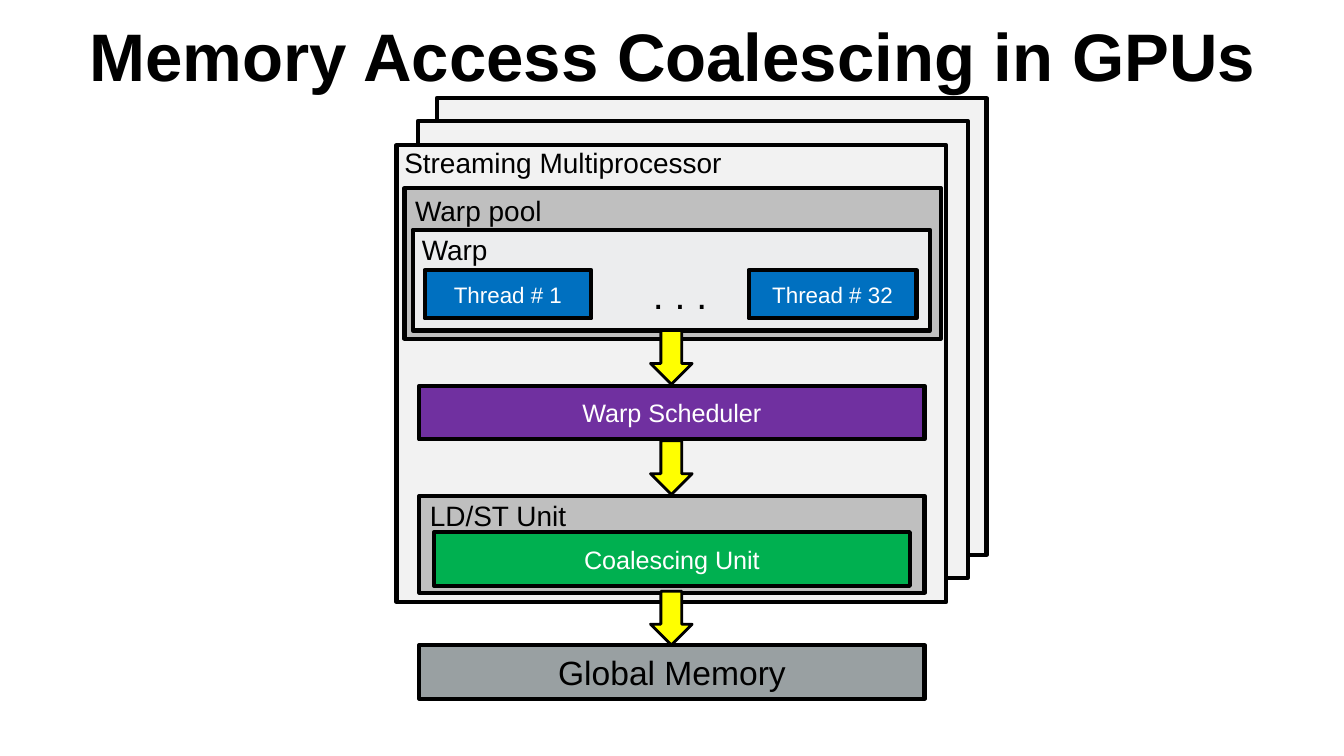
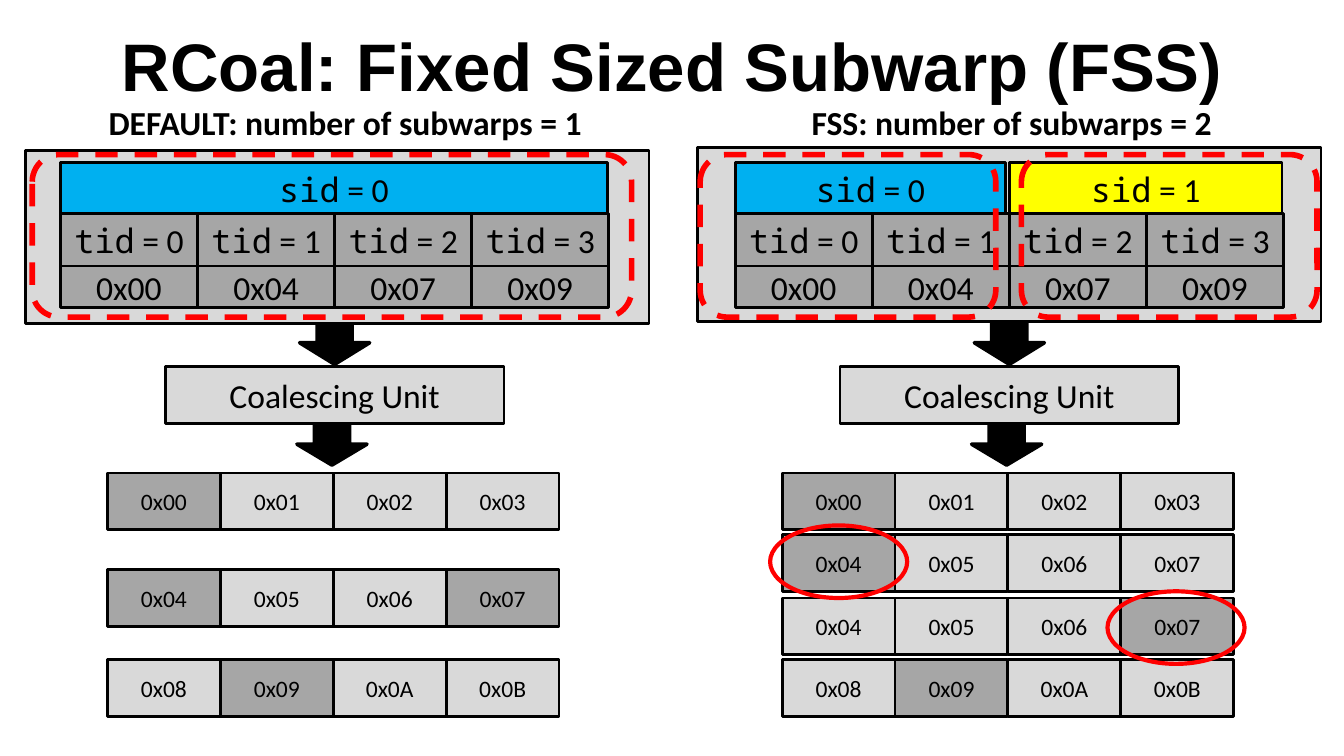
from pptx import Presentation
from pptx.dml.color import RGBColor
from pptx.enum.dml import MSO_LINE
from pptx.enum.shapes import MSO_SHAPE as Shape
from pptx.enum.text import MSO_ANCHOR as Anchor, MSO_AUTO_SIZE as AutoSize, PP_ALIGN as Align
from pptx.util import Inches, Pt

BLACK = RGBColor(0x00, 0x00, 0x00)
WHITE = RGBColor(0xFF, 0xFF, 0xFF)
PALE = RGBColor(0xF2, 0xF2, 0xF2)
WARP_GRAY = RGBColor(0xEC, 0xED, 0xEE)
LIGHT_GRAY = RGBColor(0xD9, 0xD9, 0xD9)
POOL_GRAY = RGBColor(0xBF, 0xBF, 0xBF)
DARK_GRAY = RGBColor(0xA6, 0xA6, 0xA6)
MEMORY_GRAY = RGBColor(0x99, 0xA0, 0xA2)
BLUE = RGBColor(0x00, 0x70, 0xC0)
SKY = RGBColor(0x00, 0xB0, 0xF0)
PURPLE = RGBColor(0x70, 0x30, 0xA0)
GREEN = RGBColor(0x00, 0xB0, 0x50)
YELLOW = RGBColor(0xFF, 0xFF, 0x00)
RED = RGBColor(0xFF, 0x00, 0x00)
SANS = "Arial"
BODY = "Calibri"
MONO = "Noto Sans Mono"


def write(shape, text, mono="", font=BODY, size=18, color=BLACK, bold=False, label=False):
    frame = shape.text_frame
    frame.word_wrap = not label
    frame.auto_size = AutoSize.SHAPE_TO_FIT_TEXT if label else AutoSize.NONE
    if not label:
        frame.vertical_anchor = Anchor.MIDDLE
        frame.margin_left = frame.margin_right = Inches(0.03)
        frame.margin_top = frame.margin_bottom = Inches(0.01)
    paragraph = frame.paragraphs[0]
    paragraph.alignment = Align.LEFT if label else Align.CENTER
    for part, name in ((mono, MONO), (text, font)):
        if part:
            run = paragraph.add_run()
            run.text = part
            run.font.name = name
            run.font.size = Pt(size)
            run.font.bold = bold
            run.font.color.rgb = color


def draw(slide, left, top, width, height, fill=None, kind=Shape.RECTANGLE, line=BLACK, weight=1.5):
    shape = slide.shapes.add_shape(kind, Inches(left), Inches(top), Inches(width), Inches(height))
    shape.shadow.inherit = False
    if fill is None:
        shape.fill.background()
    else:
        shape.fill.solid()
        shape.fill.fore_color.rgb = fill
    shape.line.color.rgb = line
    shape.line.width = Pt(weight)
    return shape


presentation = Presentation()
presentation.slide_width = Inches(10)
presentation.slide_height = Inches(10) * 9 // 16

slides = []
for title_text, top, height in (
    ("Memory Access Coalescing in GPUs", -0.14, 1.09),
    ("RCoal: Fixed Sized Subwarp (FSS)", 0.01, 0.94),
):
    slide = presentation.slides.add_slide(presentation.slide_layouts[5])
    title = slide.shapes.title
    title.left, title.top = Inches(0.11), Inches(top)
    title.width, title.height = Inches(9.79), Inches(height)
    write(title, title_text, font=SANS, size=36, bold=True)
    slides.append(slide)
gpu_slide, subwarp_slide = slides

for left, top, width, height, fill in (
    (3.25, 0.73, 4.09, 3.4, PALE),
    (3.11, 0.9, 4.09, 3.4, PALE),
    (2.95, 1.08, 4.09, 3.4, PALE),
    (3.01, 1.4, 3.99, 1.12, POOL_GRAY),
    (3.07, 1.71, 3.85, 0.75, WARP_GRAY),
    (3.12, 3.69, 3.76, 0.72, POOL_GRAY),
):
    draw(gpu_slide, left, top, width, height, fill, weight=2.25)

for text, left, top, width, height, size in (
    ("Streaming Multiprocessor", 2.91, 1.03, 2.59, 0.35, 15),
    ("Warp pool", 2.99, 1.39, 1.15, 0.35, 15),
    ("Warp", 3.04, 1.68, 0.7, 0.35, 15),
    (". . .", 4.76, 1.96, 0.61, 0.45, 21),
    ("LD/ST Unit", 3.1, 3.66, 1.23, 0.35, 15),
):
    label = gpu_slide.shapes.add_textbox(Inches(left), Inches(top), Inches(width), Inches(height))
    write(label, text, font=SANS, size=size, label=True)

for text, left, top, width, height, fill, size, color in (
    ("Thread # 1", 3.16, 2.01, 1.24, 0.36, BLUE, 12, WHITE),
    ("Thread # 32", 5.57, 2.01, 1.25, 0.36, BLUE, 12, WHITE),
    ("Warp Scheduler", 3.12, 2.87, 3.76, 0.4, PURPLE, 13.5, WHITE),
    ("Coalescing Unit", 3.23, 3.96, 3.54, 0.4, GREEN, 13.5, WHITE),
    ("Global Memory", 3.12, 4.8, 3.76, 0.4, MEMORY_GRAY, 18, BLACK),
):
    unit = draw(gpu_slide, left, top, width, height, fill, weight=2.25)
    write(unit, text, font=SANS, size=size, color=color)

for top in (2.46, 3.28, 4.4):
    draw(gpu_slide, 4.84, top, 0.31, 0.4, YELLOW, Shape.DOWN_ARROW)

CELL_WIDTH = 0.84
THREAD_WIDTH = 1.02
ADDRESSES = ("0x00", "0x04", "0x07", "0x09")
panels = (
    {
        "offset": 0,
        "heading": ("DEFAULT: number of subwarps = 1", 0.71, 3.76),
        "frame": (0.19, 1.12),
        "subwarps": ((0.45, 4.07, SKY),),
        "outlines": ((0.24, 4.46),),
        "blocks": ((3.52, 0, (0,)), (4.24, 4, (0, 3)), (4.91, 8, (1,))),
        "circles": (),
    },
    {
        "offset": 5.02,
        "heading": ("FSS: number of subwarps = 2", 5.94, 3.21),
        "frame": (5.19, 1.1),
        "subwarps": ((5.47, 2.01, SKY), (7.51, 2.03, YELLOW)),
        "outlines": ((5.21, 2.2), (7.6, 2.2)),
        "blocks": ((3.52, 0, (0,)), (3.98, 4, (0,)), (4.45, 4, (3,)), (4.91, 8, (1,))),
        "circles": ((5.73, 3.91), (8.24, 4.4)),
    },
)

for panel in panels:
    offset = panel["offset"]
    text, left, width = panel["heading"]
    heading = subwarp_slide.shapes.add_textbox(Inches(left), Inches(0.71), Inches(width), Inches(0.4))
    write(heading, text, bold=True, label=True)

    draw(subwarp_slide, offset + 2.23, 2.39, 0.52, 0.32, BLACK, Shape.DOWN_ARROW, weight=2)
    draw(subwarp_slide, offset + 2.21, 3.15, 0.52, 0.31, BLACK, Shape.DOWN_ARROW, weight=2)
    unit = draw(subwarp_slide, offset + 1.23, 2.73, 2.52, 0.42, LIGHT_GRAY)
    write(unit, "Coalescing Unit")
    draw(subwarp_slide, *panel["frame"], 4.64, 1.29, LIGHT_GRAY)

    for number, (left, width, fill) in enumerate(panel["subwarps"]):
        subwarp = draw(subwarp_slide, left, 1.21, width, 0.39, fill)
        write(subwarp, f" = {number}", mono="sid")
    for number, address in enumerate(ADDRESSES):
        left = offset + 0.45 + number * THREAD_WIDTH
        request = draw(subwarp_slide, left, 1.98, THREAD_WIDTH, 0.31, DARK_GRAY)
        write(request, address)
        thread = draw(subwarp_slide, left, 1.59, THREAD_WIDTH, 0.39, DARK_GRAY)
        write(thread, f" = {number}", mono="tid")

    for top, first, requested in panel["blocks"]:
        for column in range(4):
            fill = DARK_GRAY if column in requested else LIGHT_GRAY
            cell = draw(subwarp_slide, offset + 0.8 + column * CELL_WIDTH, top, CELL_WIDTH, 0.42, fill)
            write(cell, f"0x{first + column:02X}", size=12.6)

    for left, top in panel["circles"]:
        draw(subwarp_slide, left, top, 1.02, 0.54, kind=Shape.OVAL, line=RED, weight=2.25)
    for left, width in panel["outlines"]:
        outline = draw(subwarp_slide, left, 1.15, width, 1.21, kind=Shape.ROUNDED_RECTANGLE, line=RED, weight=3)
        outline.line.dash_style = MSO_LINE.DASH

presentation.save("out.pptx")
